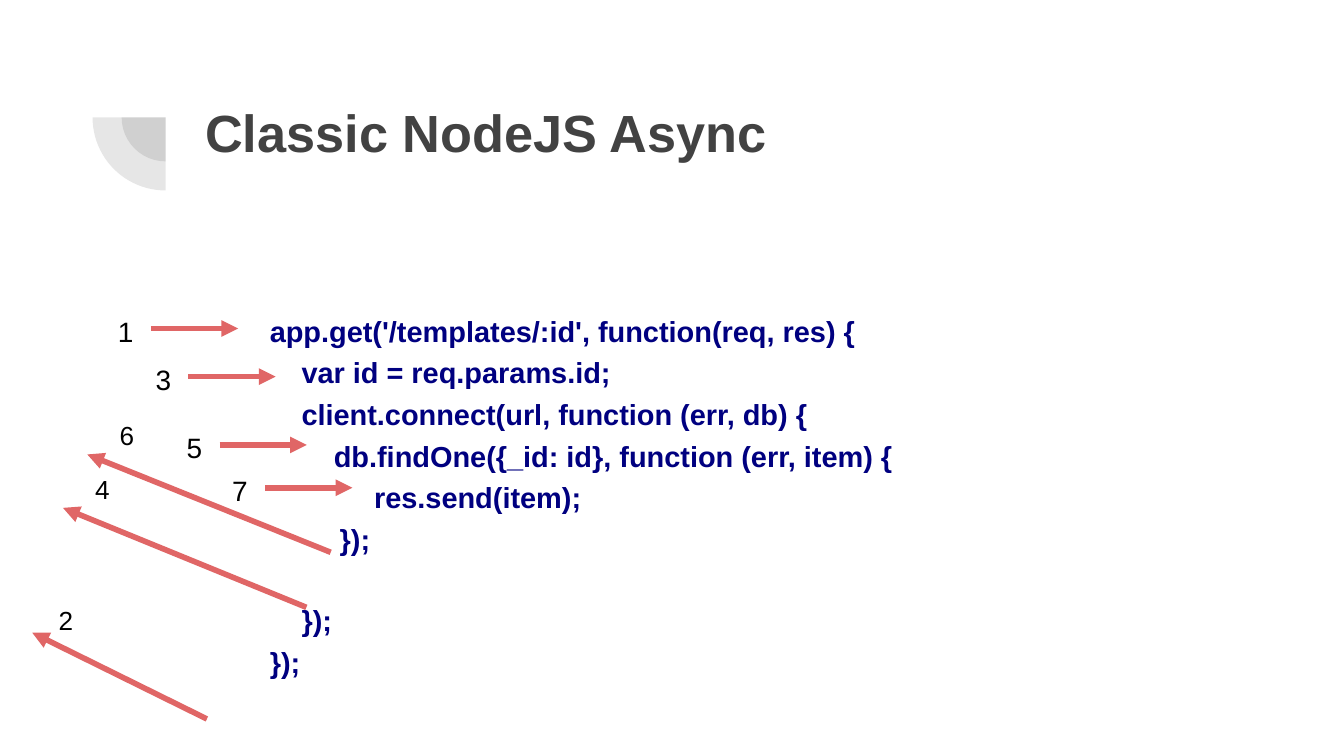
from dataclasses import dataclass

from lxml.etree import SubElement
from pptx import Presentation
from pptx.dml.color import RGBColor
from pptx.enum.shapes import MSO_CONNECTOR, MSO_SHAPE
from pptx.enum.text import MSO_ANCHOR, MSO_AUTO_SIZE, PP_ALIGN
from pptx.oxml.ns import qn
from pptx.slide import Slide
from pptx.text.text import TextFrame, _Paragraph
from pptx.util import Cm, Pt

FONT = "Arial"
GREY, NAVY, RED, BLACK = "424242", "000080", "E06666", "000000"
INSET = Cm(0.25)
CODE_SIZE, CODE_SPACING = 15.5, 1.2
CODE_LINE_HEIGHT = 21.4  # points


@dataclass(frozen=True)
class CodeLine:
    text: str
    indent: float
    space_before: float = 0


@dataclass(frozen=True)
class Step:
    number: str
    left: float
    top: float
    width: float
    height: float
    size: float
    start: tuple[float, float]
    end: tuple[float, float]


def call_step(number: str, left: float, top: float) -> Step:
    """A step whose arrow points right, at the code."""
    x, y = left + 0.87, top + 0.52
    return Step(number, left, top, 1.12, 1.09, 15, (x, y), (x + 1.65, y))


CODE = [
    CodeLine("app.get('/templates/:id', function(req, res) {", 1.22),
    CodeLine("var id = req.params.id;", 1.82),
    CodeLine("client.connect(url, function (err, db) {", 1.82),
    CodeLine("db.findOne({_id: id}, function (err, item) {", 2.43),
    CodeLine("res.send(item);", 3.19),
    CodeLine("});", 2.54),
    CodeLine("});", 1.82, space_before=CODE_LINE_HEIGHT),
    CodeLine("});", 1.22),
]

STEPS = [
    call_step("1", 1.98, 5.69),
    Step("2", 0.86, 11.18, 0.58, 0.64, 14, (3.91, 13.59), (0.61, 11.96)),
    call_step("3", 2.69, 6.6),
    Step("4", 1.55, 8.69, 0.79, 0.74, 14, (5.79, 11.48), (1.19, 9.6)),
    call_step("5", 3.28, 7.89),
    call_step("7", 4.14, 8.7),
    Step("6", 2.01, 7.67, 0.79, 0.74, 14, (6.25, 10.44), (1.65, 8.59)),
]


def colour(value: str) -> RGBColor:
    return RGBColor.from_string(value)


def prepare_frame(frame: TextFrame) -> None:
    frame.word_wrap = True
    frame.auto_size = MSO_AUTO_SIZE.NONE
    frame.vertical_anchor = MSO_ANCHOR.TOP
    frame.margin_left = frame.margin_right = INSET
    frame.margin_top = frame.margin_bottom = INSET


def add_run(paragraph: _Paragraph, text: str, size: float, ink: str, bold: bool = False) -> None:
    run = paragraph.add_run()
    run.text = text
    run.font.name = FONT
    run.font.size = Pt(size)
    run.font.bold = bold
    run.font.color.rgb = colour(ink)


def add_quarter(slide: Slide, radius: float) -> None:
    """Draw a translucent lower-left quarter disc around the ornament's corner."""
    corner_x, corner_y = 3.13, 2.22
    quarter = slide.shapes.add_shape(
        MSO_SHAPE.PIE, Cm(corner_x - radius), Cm(corner_y - radius), Cm(2 * radius), Cm(2 * radius)
    )
    quarter.rotation = 270
    quarter.adjustments[0], quarter.adjustments[1] = 108, 162
    quarter.shadow.inherit = False
    quarter.line.fill.background()
    quarter.fill.solid()
    quarter.fill.fore_color.rgb = colour(GREY)
    fill_colour = quarter.fill._xPr.find(qn("a:solidFill"))[0]
    SubElement(fill_colour, qn("a:alpha"), val="13000")


def add_title(slide: Slide) -> None:
    title = slide.shapes.title
    title.left, title.top, title.width, title.height = Cm(3.63), Cm(1.65), Cm(19.53), Cm(2.77)
    prepare_frame(title.text_frame)
    heading = title.text_frame.paragraphs[0]
    heading.alignment = PP_ALIGN.LEFT
    add_run(heading, "Classic NodeJS Async", 28, GREY, bold=True)


def add_code(slide: Slide) -> None:
    frame = slide.shapes.add_textbox(Cm(3.63), Cm(5.54), Cm(19.53), Cm(7.06)).text_frame
    prepare_frame(frame)
    for index, line in enumerate(CODE):
        paragraph = frame.add_paragraph() if index else frame.paragraphs[0]
        paragraph.line_spacing = CODE_SPACING
        paragraph.space_before = Pt(line.space_before)
        paragraph._p.get_or_add_pPr().set("marL", str(Cm(line.indent)))
        add_run(paragraph, line.text, CODE_SIZE, NAVY, bold=True)


def add_step(slide: Slide, step: Step) -> None:
    arrow = slide.shapes.add_connector(
        MSO_CONNECTOR.STRAIGHT, *(Cm(value) for value in step.start + step.end)
    )
    arrow.line.color.rgb = colour(RED)
    arrow.line.width = Pt(3)
    SubElement(arrow.line._get_or_add_ln(), qn("a:tailEnd"), type="triangle")
    SubElement(arrow._element.spPr, qn("a:effectLst"))

    label = slide.shapes.add_textbox(Cm(step.left), Cm(step.top), Cm(step.width), Cm(step.height))
    prepare_frame(label.text_frame)
    add_run(label.text_frame.paragraphs[0], step.number, step.size, BLACK)


def main() -> None:
    presentation = Presentation()
    presentation.slide_width, presentation.slide_height = Cm(25.4), Cm(14.29)
    slide = presentation.slides.add_slide(presentation.slide_layouts[5])
    for radius in (0.83, 1.38):
        add_quarter(slide, radius)
    add_title(slide)
    add_code(slide)
    for step in STEPS:
        add_step(slide, step)
    presentation.save("out.pptx")


if __name__ == "__main__":
    main()
